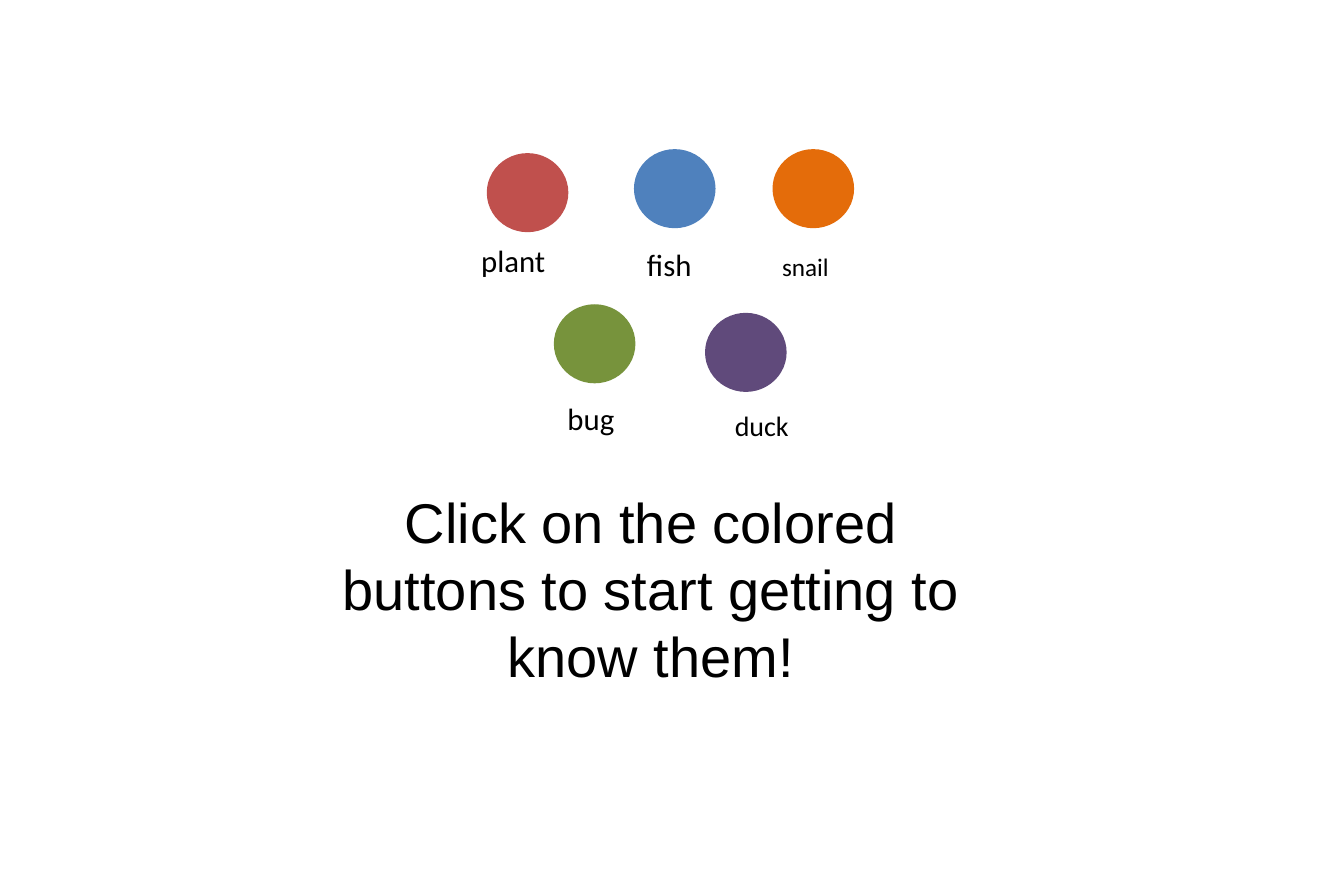
from dataclasses import dataclass
from typing import NamedTuple

from pptx import Presentation
from pptx.dml.color import RGBColor
from pptx.enum.shapes import MSO_SHAPE
from pptx.enum.text import PP_ALIGN
from pptx.util import Inches, Pt


@dataclass(frozen=True)
class Theme:
    ink: str = "000000"
    red: str = "C0504D"
    blue: str = "4F81BD"
    orange: str = "E46C0A"
    green: str = "77933C"
    purple: str = "604A7B"
    label_font: str = "Calibri"
    label_large: int = 44
    label_medium: int = 40
    label_small: int = 36
    prompt_font: str = "Arial"
    prompt_size: int = 80


class Box(NamedTuple):
    left: float
    top: float
    width: float
    height: float


class Button(NamedTuple):
    name: str
    color: str
    size: int
    circle: Box
    label: Box


THEME = Theme()
SLIDE_WIDTH, SLIDE_HEIGHT = Inches(26.67), Inches(17.25)
COLUMNS = ROWS = 100
CIRCLE_WIDTH, CIRCLE_HEIGHT = 6.07, 9.1


def circle_at(left, top):
    return Box(left, top, CIRCLE_WIDTH, CIRCLE_HEIGHT)


BUTTONS = [
    Button("plant", THEME.red, THEME.label_large,
           circle_at(36.22, 17.62), Box(-0.79, 9.91, 10.8, 4.87)),
    Button("fish", THEME.blue, THEME.label_large,
           circle_at(47.17, 17.16), Box(0.6, 10.78, 7.2, 4.87)),
    Button("snail", THEME.orange, THEME.label_small,
           circle_at(57.48, 17.16), Box(0.34, 11.42, 11.21, 4.12)),
    Button("bug", THEME.green, THEME.label_large,
           circle_at(41.21, 35.01), Box(0.64, 10.67, 7.5, 4.99)),
    Button("duck", THEME.purple, THEME.label_medium,
           circle_at(52.46, 36), Box(1.84, 10.72, 5.36, 4.46)),
]
PROMPT_BOX = Box(23.43, 55.77, 50, 24)


def on_grid(box):
    column, row = SLIDE_WIDTH / COLUMNS, SLIDE_HEIGHT / ROWS
    return (round(box.left * column), round(box.top * row),
            round(box.width * column), round(box.height * row))


def add_text(page, box, text, font, size, alignment=PP_ALIGN.LEFT):
    frame = page.shapes.add_textbox(*on_grid(box)).text_frame
    frame.word_wrap = True
    para = frame.paragraphs[0]
    para.text = text
    para.alignment = alignment
    para.font.name = font
    para.font.size = Pt(size)
    para.font.color.rgb = RGBColor.from_string(THEME.ink)


def add_button(page, button):
    circle = page.shapes.add_shape(MSO_SHAPE.OVAL, *on_grid(button.circle))
    circle.shadow.inherit = False
    circle.fill.solid()
    circle.fill.fore_color.rgb = RGBColor.from_string(button.color)
    circle.line.fill.background()
    label = button.label._replace(left=button.circle.left + button.label.left,
                                  top=button.circle.top + button.label.top)
    add_text(page, label, button.name, THEME.label_font, button.size)


def add_prompt(page, box):
    add_text(page, box, "Click on the colored buttons to start getting to know them!",
             THEME.prompt_font, THEME.prompt_size, PP_ALIGN.CENTER)


def main():
    deck = Presentation()
    deck.slide_width, deck.slide_height = SLIDE_WIDTH, SLIDE_HEIGHT
    page = deck.slides.add_slide(deck.slide_layouts[6])
    for button in BUTTONS:
        add_button(page, button)
    add_prompt(page, PROMPT_BOX)
    deck.save("out.pptx")


if __name__ == "__main__":
    main()
